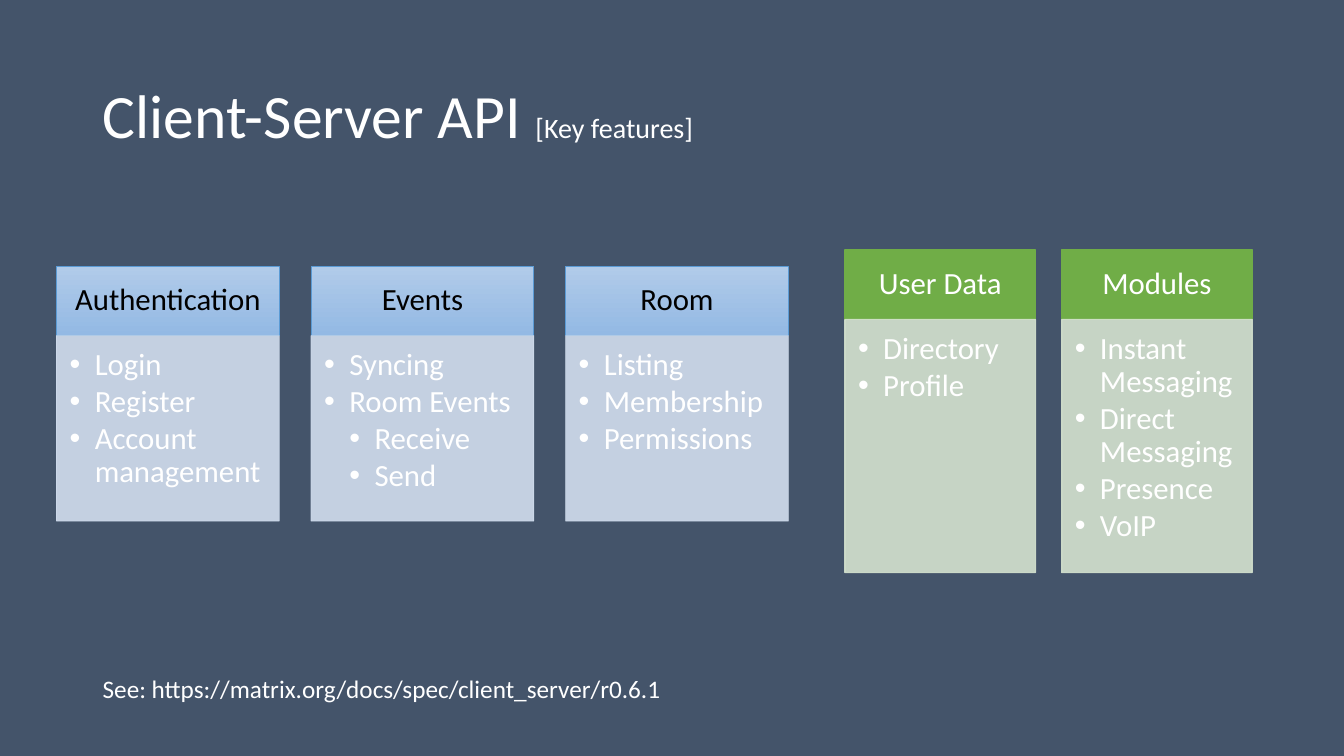
from dataclasses import dataclass

from lxml import etree
from pptx import Presentation
from pptx import util as u
from pptx.dml.color import RGBColor
from pptx.enum import shapes, text
from pptx.oxml import ns

COLORS = {
    "background": "44546A",
    "white": "FFFFFF",
    "black": "000000",
    "blue_top": "B1CBE9",
    "blue_bottom": "93B9E4",
    "blue_line": "5B9BD5",
    "blue_body": "D2DEEF",
    "green": "70AD47",
    "green_body": "D5E3CF",
}
FONT = "Calibri"
HEADER_HEIGHT = 0.69
INDENT = 0.25
HEADER_INSETS = (0.17, 0.1, 0.17, 0.1)
BODY_INSETS = (0.13, 0.13, 0.17, 0.19)


@dataclass(frozen=True)
class Feature:
    """A heading with its bullets, each a (text, level) pair."""
    heading: str
    bullets: tuple[tuple[str, int], ...]


@dataclass(frozen=True)
class FeatureGroup:
    """A row of feature columns that share size and colours."""
    left: float
    top: float
    width: float
    pitch: float
    body_height: float
    header_fill: tuple[str, ...]
    header_line: str
    header_text: str
    body_fill: str
    line_width: float
    features: tuple[Feature, ...]


GROUPS = (
    FeatureGroup(
        0.56, 2.64, 2.21, 2.525, 1.84, ("blue_top", "blue_bottom"),
        "blue_line", "black", "blue_body", 0.5,
        (
            Feature("Authentication", (("Login", 1), ("Register", 1),
                                       ("Account management", 1))),
            Feature("Events", (("Syncing", 1), ("Room Events", 1),
                               ("Receive", 2), ("Send", 2))),
            Feature("Room", (("Listing", 1), ("Membership", 1),
                             ("Permissions", 1))),
        ),
    ),
    FeatureGroup(
        8.38, 2.48, 1.89, 2.15, 2.51, ("green",),
        "green", "white", "green_body", 1,
        (
            Feature("User Data", (("Directory", 1), ("Profile", 1))),
            Feature("Modules", (("Instant Messaging", 1), ("Direct Messaging", 1),
                                ("Presence", 1), ("VoIP", 1))),
        ),
    ),
)


def color(name: str) -> RGBColor:
    """Look up a named colour."""
    return RGBColor.from_string(COLORS[name])


def add_run(paragraph, content: str, size: float, color_name: str = "white") -> None:
    """Append one formatted run."""
    run = paragraph.add_run()
    run.text = content
    run.font.name = FONT
    run.font.size = u.Pt(size)
    run.font.color.rgb = color(color_name)


def set_frame(frame, insets: tuple[float, ...], anchor) -> None:
    """Set wrapping, insets and vertical anchor of a text frame."""
    frame.word_wrap = True
    frame.vertical_anchor = anchor
    left, top, right, bottom = (u.Inches(inset) for inset in insets)
    frame.margin_left, frame.margin_top = left, top
    frame.margin_right, frame.margin_bottom = right, bottom


def add_text_box(slide, box: tuple[float, ...], anchor, runs) -> None:
    """Add a one-paragraph text box from (text, size) runs."""
    frame = slide.shapes.add_textbox(*(u.Inches(side) for side in box)).text_frame
    set_frame(frame, (0.1, 0.05, 0.1, 0.05), anchor)
    for content, size in runs:
        add_run(frame.paragraphs[0], content, size)


def add_panel(slide, box: tuple[float, ...], fills: tuple[str, ...],
              line: str, line_width: float):
    """Add a rectangle with a plain fill or a top-to-bottom gradient."""
    shape = slide.shapes.add_shape(shapes.MSO_SHAPE.RECTANGLE,
                                   *(u.Inches(side) for side in box))
    shape.shadow.inherit = False
    if len(fills) == 1:
        shape.fill.solid()
        shape.fill.fore_color.rgb = color(fills[0])
    else:
        shape.fill.gradient()
        shape.fill.gradient_angle = 270
        for stop, name in zip(shape.fill.gradient_stops, fills):
            stop.color.rgb = color(name)
    shape.line.color.rgb = color(line)
    shape.line.width = u.Pt(line_width)
    return shape


def set_opacity(shape, percent: int) -> None:
    """Make the fill and line of a shape partly transparent."""
    for value in list(shape.element.spPr.iter(ns.qn("a:srgbClr"))):
        etree.SubElement(value, ns.qn("a:alpha"), val=str(percent * 1000))


def add_bullet(paragraph, content: str, level: int) -> None:
    """Fill a paragraph as a bullet with a hanging indent."""
    paragraph.alignment = text.PP_ALIGN.LEFT
    paragraph.level = level
    paragraph.line_spacing = 0.9
    paragraph.space_after = u.Pt(2.7)
    properties = paragraph._p.get_or_add_pPr()
    properties.set("marL", str(u.Inches(INDENT * level)))
    properties.set("indent", str(u.Inches(-INDENT)))
    etree.SubElement(properties, ns.qn("a:buFont"), typeface="Arial")
    etree.SubElement(properties, ns.qn("a:buChar"), char="•")
    add_run(paragraph, content, 22)


def add_feature(slide, group: FeatureGroup, left: float, feature: Feature) -> None:
    """Draw one column: a header above its bullet panel."""
    header = add_panel(slide, (left, group.top, group.width, HEADER_HEIGHT),
                       group.header_fill, group.header_line, group.line_width)
    set_frame(header.text_frame, HEADER_INSETS, text.MSO_ANCHOR.MIDDLE)
    heading = header.text_frame.paragraphs[0]
    heading.alignment = text.PP_ALIGN.CENTER
    heading.line_spacing = 0.9
    add_run(heading, feature.heading, 22, group.header_text)

    body = add_panel(
        slide, (left, group.top + HEADER_HEIGHT, group.width, group.body_height),
        (group.body_fill,), group.body_fill, group.line_width)
    set_opacity(body, 90)
    frame = body.text_frame
    set_frame(frame, BODY_INSETS, text.MSO_ANCHOR.TOP)
    for index, (content, level) in enumerate(feature.bullets):
        paragraph = frame.add_paragraph() if index else frame.paragraphs[0]
        add_bullet(paragraph, content, level)


def main() -> None:
    """Build and save the slide."""
    presentation = Presentation()
    presentation.slide_width = u.Inches(13.33)
    presentation.slide_height = u.Inches(7.5)
    slide = presentation.slides.add_slide(presentation.slide_layouts[6])
    slide.background.fill.solid()
    slide.background.fill.fore_color.rgb = color("background")

    add_text_box(slide, (0.92, 0.4, 11.5, 1.45), text.MSO_ANCHOR.MIDDLE,
                 (("Client-Server API ", 44), ("[Key features]", 20)))
    for group in GROUPS:
        for index, feature in enumerate(group.features):
            add_feature(slide, group, group.left + index * group.pitch, feature)
    add_text_box(slide, (0.92, 6.63, 8.15, 0.4), text.MSO_ANCHOR.TOP,
                 (("See: https://matrix.org/docs/spec/client_server/r0.6.1", 18),))
    presentation.save("out.pptx")


main()
